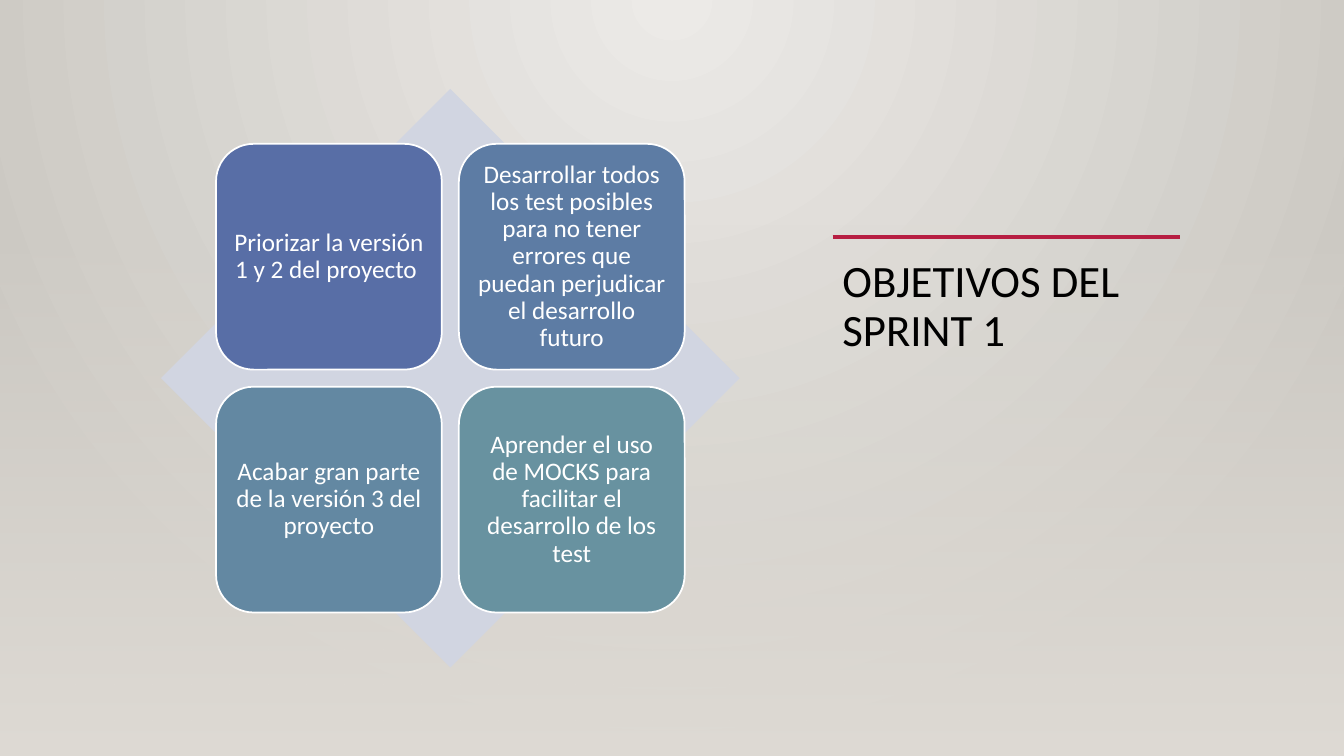
import dataclasses

import lxml.etree
import pptx
import pptx.dml.color
import pptx.dml.fill
import pptx.enum.shapes
import pptx.enum.text
import pptx.oxml.ns
import pptx.shapes.autoshape
import pptx.slide
import pptx.text.text
import pptx.util

Cm = pptx.util.Cm
Pt = pptx.util.Pt
RGB = pptx.dml.color.RGBColor
qn = pptx.oxml.ns.qn
Kind = pptx.enum.shapes.MSO_SHAPE
Align = pptx.enum.text.PP_ALIGN
Anchor = pptx.enum.text.MSO_ANCHOR


@dataclasses.dataclass(frozen=True)
class Theme:
    font: str = "Calibri"
    title: int = 32
    body: int = 18
    ink: str = "000000"
    white: str = "FFFFFF"
    accent: str = "B71E42"
    star: str = "D1D5E1"
    glow: str = "ECEAE7"
    edge: str = "CAC7C1"
    floor: str = "DFDBD5"


@dataclasses.dataclass(frozen=True)
class Card:
    text: str
    color: str


@dataclasses.dataclass(frozen=True)
class Box:
    left: float
    top: float
    width: float
    height: float


THEME = Theme()
WIDTH, HEIGHT = 33.87, 19.05
STAR = Box(4.06, 2.24, 14.58, 14.58)
SIDE, GAP = 5.69, 0.43
TITLE = Box(20.98, 6.4, 8.76, 10.41)
RULE_TOP = 5.97
FLOOR_TOP = 5.61
CARDS = [
    Card("Priorizar la versión 1 y 2 del proyecto ", "586EA6"),
    Card("Desarrollar todos los test posibles para no tener errores que "
         "puedan perjudicar el desarrollo futuro", "5D7CA4"),
    Card("Acabar gran parte de la versión 3 del proyecto", "6388A2"),
    Card("Aprender el uso de MOCKS para facilitar el desarrollo de los test", "6892A0"),
]


def blend(fill: pptx.dml.fill.FillFormat, start: str, end: str) -> None:
    fill.gradient()
    for stop, color in zip(fill.gradient_stops, (start, end)):
        stop.color.rgb = RGB.from_string(color)


def paint_back(slide: pptx.slide.Slide) -> None:
    blend(slide.background.fill, THEME.glow, THEME.edge)
    grad = next(slide.element.iter(qn("a:gradFill")))
    lin = grad.find(qn("a:lin"))
    ring = lxml.etree.Element(qn("a:path"), {"path": "circle"})
    lxml.etree.SubElement(
        ring, qn("a:fillToRect"), {"l": "43000", "t": "0", "r": "43000", "b": "100000"})
    grad.replace(lin, ring)


def add_shape(slide: pptx.slide.Slide, kind: Kind, box: Box) -> pptx.shapes.autoshape.Shape:
    shape = slide.shapes.add_shape(
        kind, Cm(box.left), Cm(box.top), Cm(box.width), Cm(box.height))
    shape.shadow.inherit = False
    shape.line.fill.background()
    return shape


def fill_plain(shape: pptx.shapes.autoshape.Shape, color: str) -> None:
    shape.fill.solid()
    shape.fill.fore_color.rgb = RGB.from_string(color)


def add_floor(slide: pptx.slide.Slide) -> None:
    floor = add_shape(slide, Kind.RECTANGLE, Box(0, FLOOR_TOP, WIDTH, HEIGHT - FLOOR_TOP))
    blend(floor.fill, THEME.floor, THEME.floor)
    floor.fill.gradient_angle = 270
    color = next(floor.element.iter(qn("a:srgbClr")))
    lxml.etree.SubElement(color, qn("a:alpha"), {"val": "0"})


def write(frame: pptx.text.text.TextFrame, text: str, size: int, color: str,
          align: Align) -> None:
    frame.word_wrap = True
    para = frame.paragraphs[0]
    para.alignment = align
    para.line_spacing = 0.9
    run = para.add_run()
    run.text = text
    run.font.name = THEME.font
    run.font.size = Pt(size)
    run.font.color.rgb = RGB.from_string(color)


def add_card(slide: pptx.slide.Slide, card: Card, box: Box) -> None:
    shape = add_shape(slide, Kind.ROUNDED_RECTANGLE, box)
    fill_plain(shape, card.color)
    shape.line.color.rgb = RGB.from_string(THEME.white)
    shape.line.width = Pt(1.25)
    frame = shape.text_frame
    frame.margin_left = frame.margin_right = Cm(0.18)
    frame.margin_top = frame.margin_bottom = Cm(0.18)
    frame.vertical_anchor = Anchor.MIDDLE
    write(frame, card.text, THEME.body, THEME.white, Align.CENTER)


def add_grid(slide: pptx.slide.Slide) -> None:
    fill_plain(add_shape(slide, Kind.DIAMOND, STAR), THEME.star)
    inset = (STAR.width - 2 * SIDE - GAP) / 2
    for index, card in enumerate(CARDS):
        row, col = divmod(index, 2)
        left = STAR.left + inset + col * (SIDE + GAP)
        top = STAR.top + inset + row * (SIDE + GAP)
        add_card(slide, card, Box(left, top, SIDE, SIDE))


def add_title(slide: pptx.slide.Slide) -> None:
    box = slide.shapes.add_textbox(
        Cm(TITLE.left), Cm(TITLE.top), Cm(TITLE.width), Cm(TITLE.height))
    write(box.text_frame, "OBJETIVOS DEL SPRINT 1", THEME.title, THEME.ink, Align.LEFT)
    rule = slide.shapes.add_connector(
        pptx.enum.shapes.MSO_CONNECTOR.STRAIGHT, Cm(TITLE.left), Cm(RULE_TOP),
        Cm(TITLE.left + TITLE.width), Cm(RULE_TOP))
    rule.line.color.rgb = RGB.from_string(THEME.accent)
    rule.line.width = Pt(2.5)
    lxml.etree.SubElement(rule.element.spPr, qn("a:effectLst"))


def main() -> None:
    deck = pptx.Presentation()
    deck.slide_width, deck.slide_height = Cm(WIDTH), Cm(HEIGHT)
    slide = deck.slides.add_slide(deck.slide_layouts[6])
    paint_back(slide)
    add_floor(slide)
    add_title(slide)
    add_grid(slide)
    deck.save("out.pptx")


main()
